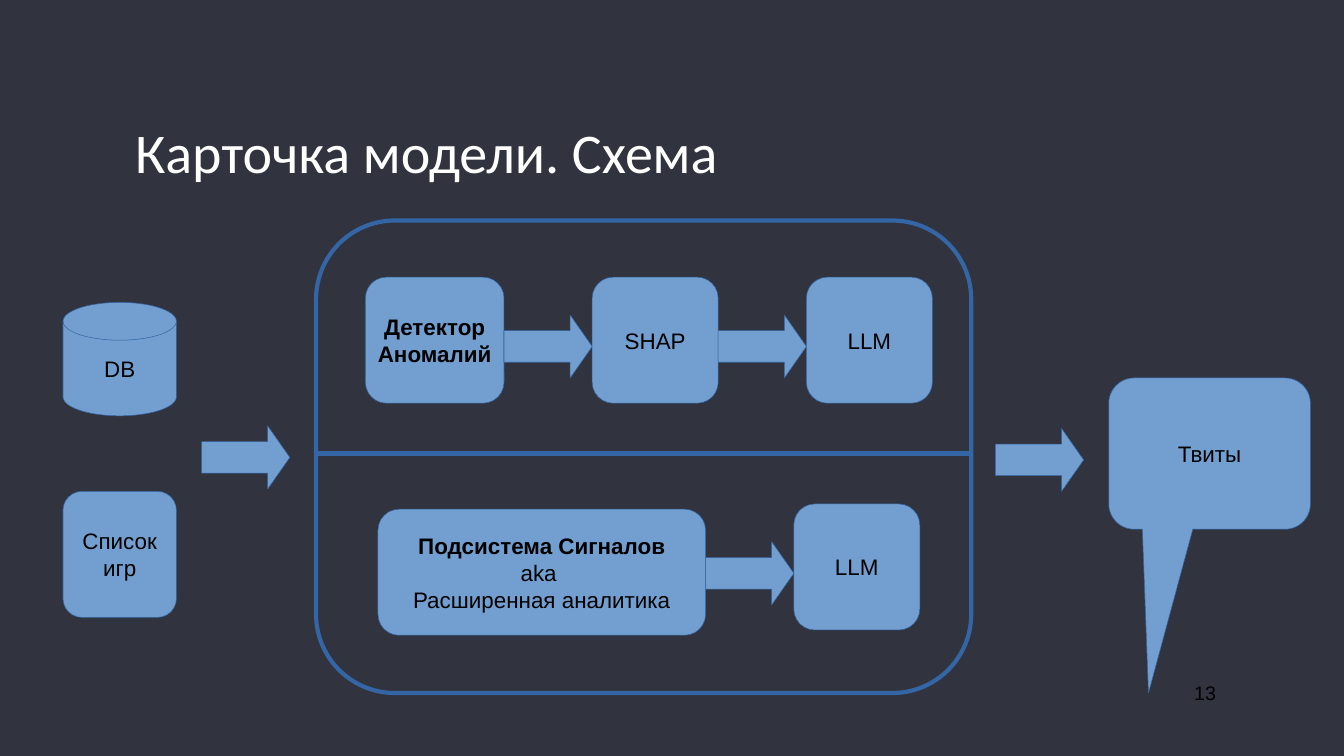
from pptx import Presentation
from pptx.dml.color import RGBColor
from pptx.enum.shapes import MSO_CONNECTOR, MSO_SHAPE as Shape
from pptx.enum.text import MSO_ANCHOR as Anchor, MSO_AUTO_SIZE, PP_ALIGN as Align
from pptx.oxml.ns import qn
from pptx.util import Pt


def rgb(value):
    return RGBColor.from_string(value)


class Diagram:
    BACKGROUND, FILL, LINE = "31333F", "729FCF", "3465A4"
    TEXT, TITLE = "000000", "FFFFFF"
    FRAME_WIDTH = 6

    def __init__(self, slide):
        self.slide = slide
        fill = slide.background.fill
        fill.solid()
        fill.fore_color.rgb = rgb(self.BACKGROUND)

    def style_text(self, p, size, color=TEXT, font="Arial", align=Align.CENTER):
        p.alignment = align
        p.font.name, p.font.size = font, Pt(size)
        p.font.color.rgb = rgb(color)

    def set_margins(self, tf, horizontal, vertical):
        tf.margin_left = tf.margin_right = Pt(horizontal)
        tf.margin_top = tf.margin_bottom = Pt(vertical)
        tf.word_wrap = True

    def title(self, text, x, y, w, h):
        sp = self.slide.shapes.title
        sp.left, sp.top, sp.width, sp.height = Pt(x), Pt(y), Pt(w), Pt(h)
        tf = sp.text_frame
        tf.text = text
        tf.auto_size = MSO_AUTO_SIZE.NONE
        tf.vertical_anchor = Anchor.MIDDLE
        self.set_margins(tf, 4.5, 4.5)
        self.style_text(tf.paragraphs[0], 80, self.TITLE, "Calibri", Align.LEFT)

    def shape(self, kind, x, y, w, h, line_width=0, filled=True):
        sp = self.slide.shapes.add_shape(kind, Pt(x), Pt(y), Pt(w), Pt(h))
        sp.shadow.inherit = False
        if filled:
            sp.fill.solid()
            sp.fill.fore_color.rgb = rgb(self.FILL)
        else:
            sp.fill.background()
        sp.line.color.rgb = rgb(self.LINE)
        sp.line.width = Pt(line_width)
        return sp

    def node(self, text, x, y, w, h, kind=Shape.FLOWCHART_ALTERNATE_PROCESS, bold_lines=0):
        """Add a filled shape with a label whose first bold_lines lines are bold."""
        sp = self.shape(kind, x, y, w, h)
        tf = sp.text_frame
        tf.vertical_anchor = Anchor.MIDDLE
        self.set_margins(tf, 7.2, 3.6)
        p = tf.paragraphs[0]
        self.style_text(p, 32)
        for i, line in enumerate(text.split("\n")):
            if i:
                p.add_line_break()
            r = p.add_run()
            r.text = line
            r.font.bold = i < bold_lines
        return sp

    def arrow(self, x, y):
        sp = self.shape(Shape.RIGHT_ARROW, x, y, 126, 90)
        sp.adjustments[0], sp.adjustments[1] = 0.5, 0.35

    def frame(self, x, y, w, h):
        self.shape(Shape.FLOWCHART_ALTERNATE_PROCESS, x, y, w, h, self.FRAME_WIDTH, filled=False)

    def divider(self, x1, x2, y):
        line = self.slide.shapes.add_connector(MSO_CONNECTOR.STRAIGHT, Pt(x1), Pt(y), Pt(x2), Pt(y))
        line.line.color.rgb = rgb(self.LINE)
        line.line.width = Pt(self.FRAME_WIDTH)
        sp_pr = line._element.spPr
        sp_pr.append(sp_pr.makeelement(qn("a:effectLst"), {}))

    def page_number(self, text, x, y, w, h):
        tf = self.slide.shapes.add_textbox(Pt(x), Pt(y), Pt(w), Pt(h)).text_frame
        tf.text = text
        self.set_margins(tf, 4.5, 4.5)
        self.style_text(tf.paragraphs[0], 28)


def main():
    prs = Presentation()
    prs.slide_width, prs.slide_height = Pt(1920), Pt(1080)
    d = Diagram(prs.slides.add_slide(prs.slide_layouts[5]))
    d.title("Карточка модели. Схема", 188.5, 163.5, 1539.5, 103.5)

    # Inputs and output
    d.node("DB", 90, 432, 162, 162, Shape.FLOWCHART_MAGNETIC_DISK)
    d.node("Список\nигр", 90, 702, 162, 180)
    d.arrow(288, 608.5)
    d.arrow(1422, 612)
    tweets = d.node("Твиты", 1584, 540, 288, 216, Shape.ROUNDED_RECTANGULAR_CALLOUT)
    for i, value in enumerate((-0.303, 1.583, 0.167)):
        tweets.adjustments[i] = value

    # Model with two branches
    d.frame(451.5, 315, 936, 675)
    d.divider(451.5, 1387.5, 648)
    d.node("Детектор Аномалий", 522, 396, 198, 180, bold_lines=1)
    for text, x in (("SHAP", 846), ("LLM", 1152)):
        d.arrow(x - 126, 450)
        d.node(text, x, 396, 180, 180)
    d.node("Подсистема Сигналов\naka \nРасширенная аналитика", 540, 727.5, 468, 180, bold_lines=1)
    d.arrow(1008, 774)
    d.node("LLM", 1134, 720, 180, 180)

    d.page_number("13", 1602, 967.5, 239, 76.5)
    prs.save("out.pptx")


if __name__ == "__main__":
    main()
